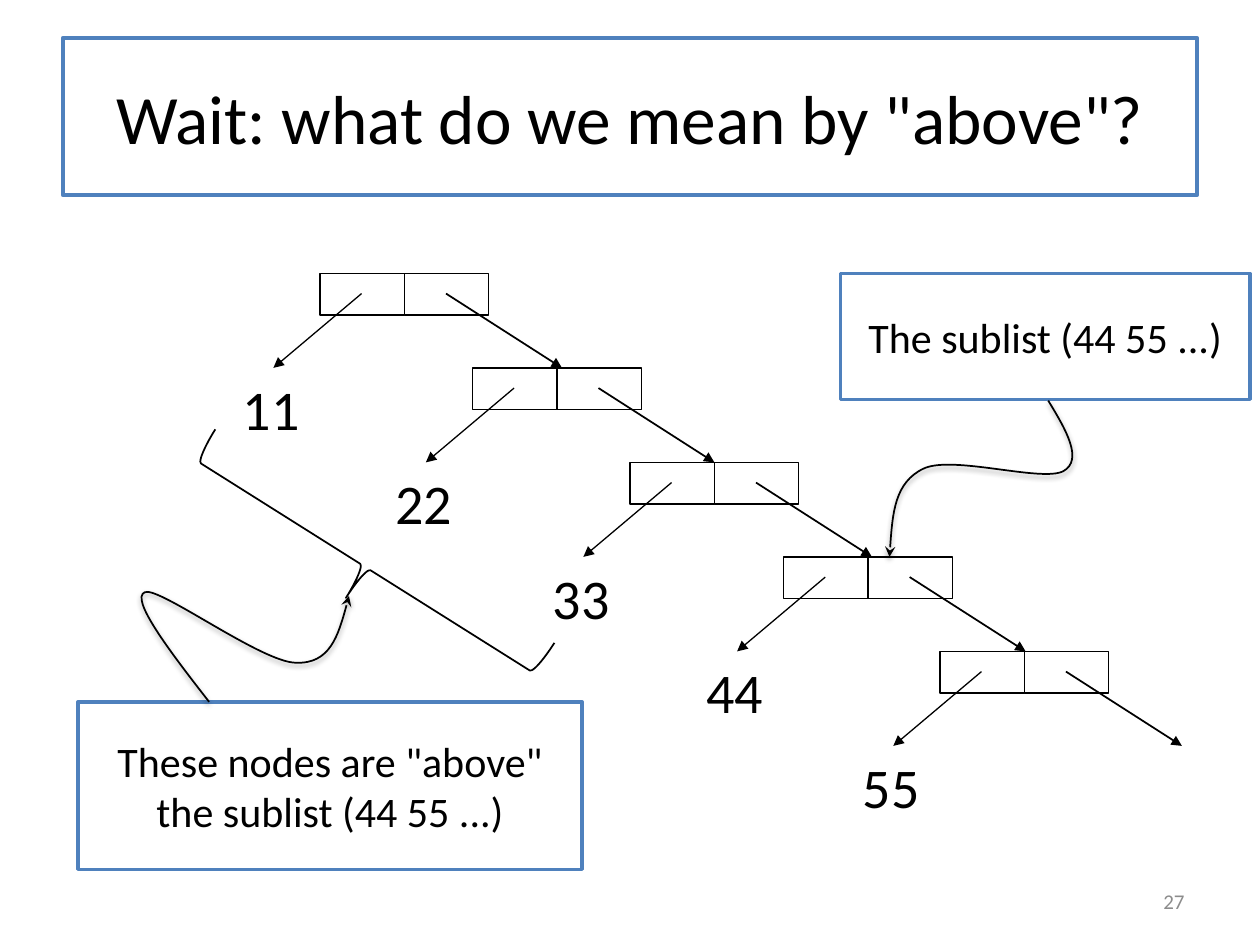
from lxml.etree import SubElement
from pptx import Presentation
from pptx.dml.color import RGBColor
from pptx.enum.shapes import MSO_CONNECTOR, MSO_SHAPE
from pptx.enum.text import MSO_ANCHOR, PP_ALIGN
from pptx.oxml.ns import qn
from pptx.util import Inches, Pt


def color(hex_value):
    return RGBColor.from_string(hex_value)


def write(shape, text, size, align, hex_value="000000", anchor=MSO_ANCHOR.MIDDLE, wrap=True):
    frame = shape.text_frame
    frame.word_wrap = wrap
    frame.vertical_anchor = anchor
    paragraph = frame.paragraphs[0]
    paragraph.alignment = align
    run = paragraph.add_run()
    run.text = text
    run.font.name = "Calibri"
    run.font.size = Pt(size)
    run.font.color.rgb = color(hex_value)


prs = Presentation()
prs.slide_width, prs.slide_height = Inches(10), Inches(7.5)
slide = prs.slides.add_slide(prs.slide_layouts[6])
shapes = slide.shapes

# Slide number
number = shapes.add_textbox(Inches(7.17), Inches(6.95), Inches(2.33), Inches(0.4))
write(number, "27", 12, PP_ALIGN.RIGHT, "8C8C8C")

# Linked list: each node has two cells, an arrow to its value and one to the next node
CELL_WIDTH, CELL_HEIGHT = 0.67, 0.33
NODE_TOP, NODE_STEP = 2.17, 0.75
nodes = [("11", 2.54), ("22", 3.75), ("33", 5), ("44", 6.22), ("55", 7.46)]
for index, (value, left) in enumerate(nodes):
    top = NODE_TOP + index * NODE_STEP
    node = shapes.add_group_shape().shapes
    for column in range(2):
        cell = node.add_shape(MSO_SHAPE.RECTANGLE, Inches(left + column * CELL_WIDTH),
                              Inches(top), Inches(CELL_WIDTH), Inches(CELL_HEIGHT))
        cell.shadow.inherit = False
        cell.fill.background()
        cell.line.color.rgb = color("000000")
        cell.line.width = Pt(0.75)
    for start, end, width in [(0.33, -0.37, 0.75), (1, 1.92, 1)]:
        pointer = node.add_connector(MSO_CONNECTOR.STRAIGHT, Inches(left + start), Inches(top + 0.16),
                                     Inches(left + end), Inches(top + NODE_STEP))
        pointer.line.color.rgb = color("000000")
        pointer.line.width = Pt(width)
        SubElement(pointer.line._get_or_add_ln(), qn("a:tailEnd"), type="triangle")
        SubElement(pointer._element.spPr, qn("a:effectLst"))
    label = shapes.add_textbox(Inches(left - 0.71), Inches(top + NODE_STEP), Inches(0.66), Inches(0.64))
    write(label, value, 32, PP_ALIGN.LEFT, anchor=MSO_ANCHOR.TOP, wrap=False)

# Brace around the nodes above the sublist
brace = shapes.add_shape(MSO_SHAPE.LEFT_BRACE, Inches(2.61), Inches(2.91), Inches(0.58), Inches(3.18))
brace.rotation = 302.2
brace.shadow.inherit = False
brace.fill.background()
brace.line.color.rgb = color("000000")
brace.line.width = Pt(1)

# Title and callout boxes
for text, left, top, width, height, size, border in [
    ('Wait: what do we mean by "above"?', 0.5, 0.3, 9, 1.25, 39.6, 2.25),
    ('These nodes are "above" the sublist (44 55 ...)', 0.62, 5.57, 4, 1.33, 24, 2),
    ("The sublist (44 55 ...)", 6.67, 2.17, 3.25, 1, 24, 2),
]:
    box = shapes.add_shape(MSO_SHAPE.RECTANGLE, Inches(left), Inches(top), Inches(width), Inches(height))
    box.shadow.inherit = False
    box.fill.solid()
    box.fill.fore_color.rgb = color("FFFFFF")
    box.line.color.rgb = color("4F81BD")
    box.line.width = Pt(border)
    write(box, text, size, PP_ALIGN.CENTER)

# Curved arrows from the callouts: a start, then three Bezier points per curve
callout_curves = [
    [(8.32, 3.18), (8.46, 3.41), (8.6, 3.65), (8.44, 3.74), (8.27, 3.83), (7.56, 3.61),
     (7.33, 3.72), (7.1, 3.83), (7.08, 4.12), (7.06, 4.42)],
    [(1.66, 5.57), (1.34, 5.16), (1.03, 4.75), (1.15, 4.7), (1.26, 4.65), (2.08, 5.26),
     (2.35, 5.26), (2.62, 5.27), (2.7, 5), (2.77, 4.73)],
]
for points in callout_curves:
    (start_x, start_y), *rest = [(Inches(x), Inches(y)) for x, y in points]
    builder = shapes.build_freeform(start_x, start_y)
    builder.add_line_segments(rest, close=False)
    arrow = builder.convert_to_shape()
    arrow.fill.background()
    arrow.line.color.rgb = color("000000")
    arrow.line.width = Pt(1)
    SubElement(arrow.line._get_or_add_ln(), qn("a:tailEnd"), type="stealth")

    # Turn every three straight segments into one Bezier curve
    outline = arrow._element.find(".//" + qn("a:path"))
    segments = outline.findall(qn("a:lnTo"))
    for first in range(0, len(segments), 3):
        bezier = SubElement(outline, qn("a:cubicBezTo"))
        for segment in segments[first:first + 3]:
            bezier.append(segment[0])
            outline.remove(segment)

    # Soft shadow below the arrow
    effects = SubElement(arrow._element.spPr, qn("a:effectLst"))
    shadow = SubElement(effects, qn("a:outerShdw"), blurRad=str(Pt(3.1)), dist=str(Pt(1.6)),
                        dir="5400000", rotWithShape="0")
    shade = SubElement(shadow, qn("a:srgbClr"), val="000000")
    SubElement(shade, qn("a:alpha"), val="38000")

prs.save("out.pptx")
